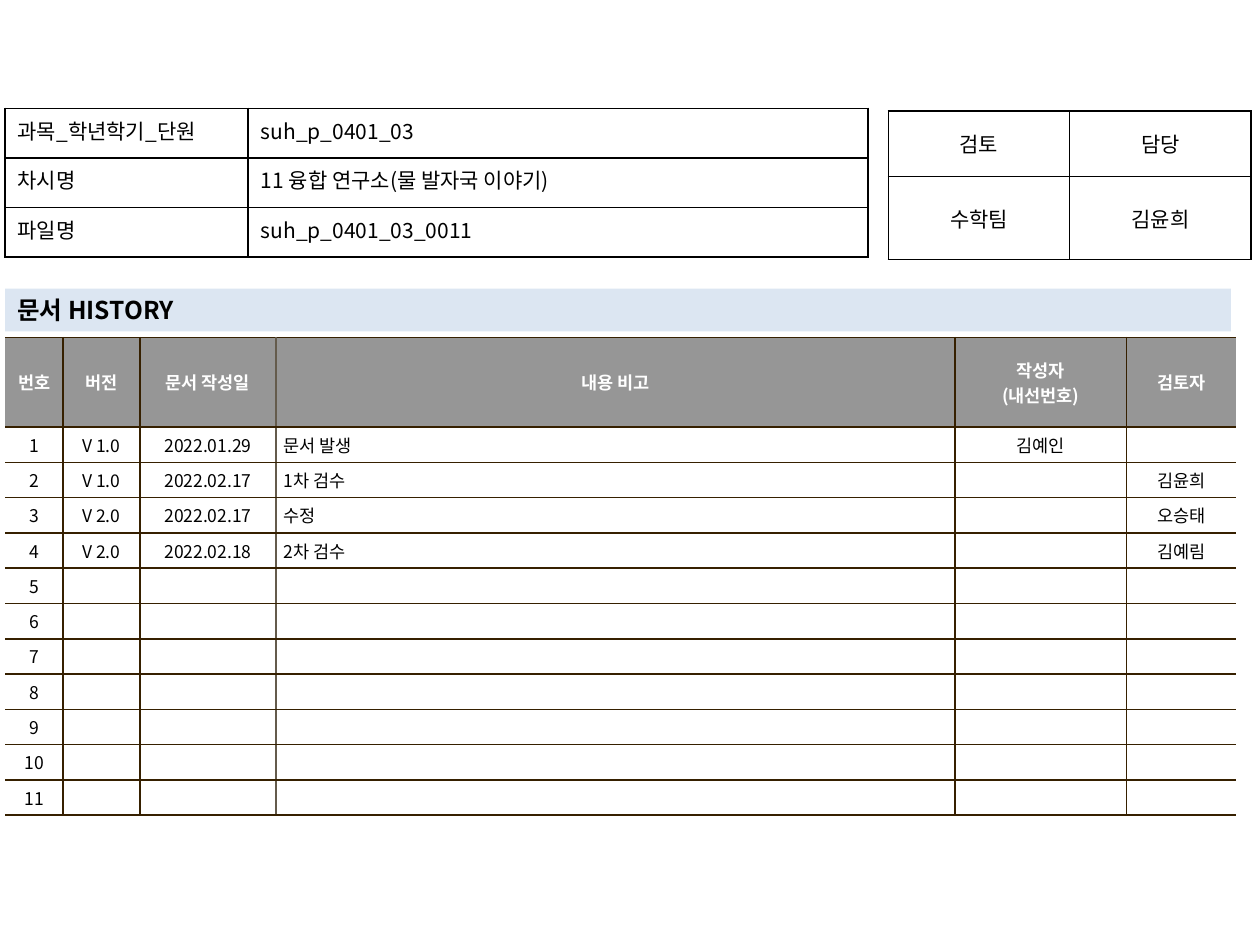
from lxml import etree
from pptx import Presentation, util as u
from pptx.dml.color import RGBColor
from pptx.enum import shapes, text
from pptx.oxml.ns import qn

FONT = "Noto Sans CJK KR"
LEFT, MID, JUST = text.PP_ALIGN.LEFT, text.PP_ALIGN.CENTER, text.PP_ALIGN.JUSTIFY
hue = RGBColor.from_string


def write(frame, words, size=12, color="000000", bold=False, align=LEFT):
    frame.word_wrap = True
    for i, line in enumerate(words.split("\n")):
        para = frame.paragraphs[0] if i == 0 else frame.add_paragraph()
        para.alignment = align
        if not line:
            para._p.get_or_add_endParaRPr().set("sz", str(size * 100))
            continue
        run = para.add_run()
        run.text = line
        font = run.font
        font.name, font.size, font.bold = FONT, u.Pt(size), bold
        font.color.rgb = hue(color)
        etree.SubElement(font._element, qn("a:ea")).set("typeface", FONT)


def grid(left, top, cols, rows, line, open_sides=False, soft=None):
    table = page.shapes.add_table(
        len(rows), len(cols), int(left * X), int(top * Y),
        int(sum(cols) * X), int(sum(rows) * Y)).table
    table.first_row = table.horz_banding = False
    for col, wide in zip(table.columns, cols):
        col.width = int(wide * X)
    for row, tall in zip(table.rows, rows):
        row.height = int(tall * Y)
        for c, cell in enumerate(row.cells):
            props = cell._tc.get_or_add_tcPr()
            for side, edge in (("L", c), ("R", c + 1), ("T", None), ("B", None)):
                rule = etree.SubElement(props, qn("a:ln" + side), w=str(u.Pt(1)))
                if open_sides and edge in (0, len(cols)):
                    etree.SubElement(rule, qn("a:noFill"))
                    continue
                ink = etree.SubElement(rule, qn("a:solidFill"))
                shade = "645B4C" if soft is not None and edge == soft else line
                etree.SubElement(ink, qn("a:srgbClr"), val=shade)
            cell.fill.background()
    return table


deck = Presentation()
deck.slide_width, deck.slide_height = u.Inches(10), u.Inches(7.5)
X, Y = deck.slide_width / 100, deck.slide_height / 100
page = deck.slides.add_slide(deck.slide_layouts[6])

heads = ["번호", "버전", "문서 작성일", "내용 비고", "작성자\n(내선번호)", "검토자"]
notes = [
    ["V 1.0", "2022.01.29", "문서 발생", "김예인", ""],
    ["V 1.0", "2022.02.17", "1차 검수", "", "김윤희"],
    ["V 2.0", "2022.02.17", "수정", "", "오승태"],
    ["V 2.0", "2022.02.18", "2차 검수", "", "김예림"],
]
notes += [[""] * 5] * 7
log = [heads] + [[str(n), *note] for n, note in enumerate(notes, 1)]
table = grid(0.4, 35.73, [4.6, 6.1, 10.8, 53.9, 13.6, 8.7],
             [9.47] + [3.33] * len(notes), "362000", open_sides=True, soft=3)
for r, row in enumerate(log):
    for c, words in enumerate(row):
        cell = table.cell(r, c)
        cell.vertical_anchor = text.MSO_ANCHOR.MIDDLE
        cell.margin_left = cell.margin_right = u.Inches(0.06)
        cell.margin_top = cell.margin_bottom = u.Inches(0.04)
        cell.fill.solid()
        cell.fill.fore_color.rgb = hue("FFFFFF" if r else "969696")
        write(cell.text_frame, words, size=10, bold=r == 0,
              color="000000" if r else "FFFFFF",
              align=LEFT if r and c == 3 else MID)

table = grid(70.5, 11.73, [14.4] * 2, [6.93, 8.8], "000000")
for r, row in enumerate([["검토", "담당"], ["수학팀", "김윤희"]]):
    for c, words in enumerate(row):
        cell = table.cell(r, c)
        cell.vertical_anchor = text.MSO_ANCHOR.MIDDLE
        write(cell.text_frame, words, align=MID)

band = page.shapes.add_shape(shapes.MSO_SHAPE.RECTANGLE, int(0.4 * X),
                             int(30.53 * Y), int(97.3 * X), int(4.53 * Y))
band.shadow.inherit = False
band.fill.solid()
band.fill.fore_color.rgb = hue("DCE6F2")
band.line.fill.background()
band.text_frame.auto_size = text.MSO_AUTO_SIZE.SHAPE_TO_FIT_TEXT
write(band.text_frame, "문서 HISTORY", size=14, bold=True)

facts = [
    ["과목_학년학기_단원", "suh_p_0401_03"],
    ["차시명", "11 융합 연구소(물 발자국 이야기)"],
    ["파일명", "suh_p_0401_03_0011"],
]
table = grid(0.4, 11.47, [19.3, 49.2], [5.25] * 3, "000000")
for r, row in enumerate(facts):
    for c, words in enumerate(row):
        write(table.cell(r, c).text_frame, words, align=LEFT if c else JUST)

deck.save("out.pptx")
